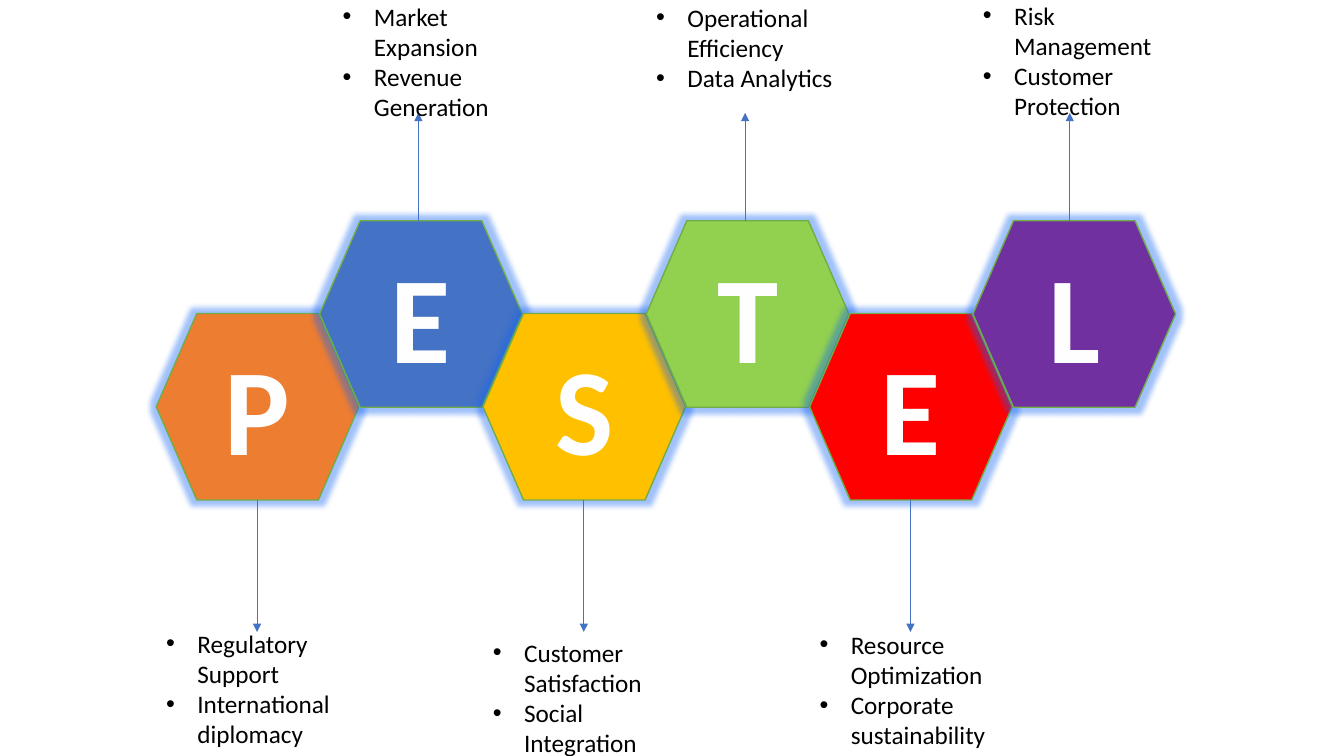
from lxml import etree
from pptx import Presentation
from pptx.dml.color import RGBColor
from pptx.enum.shapes import MSO_CONNECTOR, MSO_SHAPE
from pptx.enum.text import MSO_ANCHOR, MSO_AUTO_SIZE, PP_ALIGN
from pptx.oxml import parse_xml
from pptx.oxml.ns import nsdecls, qn
from pptx.util import Pt

PX = 9144  # EMU per px, 100 px to the inch
HEXAGON = MSO_SHAPE.FLOWCHART_PREPARATION
STRAIGHT = MSO_CONNECTOR.STRAIGHT
MIDDLE = MSO_ANCHOR.MIDDLE
GROW = MSO_AUTO_SIZE.SHAPE_TO_FIT_TEXT
CENTER, LEFT = PP_ALIGN.CENTER, PP_ALIGN.LEFT

BLACK = RGBColor(0x00, 0x00, 0x00)
OFF_WHITE = RGBColor(0xFE, 0xFE, 0xFE)
BLUE = RGBColor(0x44, 0x72, 0xC4)
GREEN = RGBColor(0x70, 0xAD, 0x47)
ORANGE = RGBColor(0xED, 0x7D, 0x31)
GOLD = RGBColor(0xFF, 0xC0, 0x00)
LIME = RGBColor(0x92, 0xD0, 0x50)
RED = RGBColor(0xFF, 0x00, 0x00)
PURPLE = RGBColor(0x70, 0x30, 0xA0)

HEX_LEFT, HEX_STEP, HEX_WIDTH, HEX_HEIGHT = 155, 162, 201, 185
UPPER_TOP, LOWER_TOP = 219, 311
UPPER_TIP, LOWER_TIP = 112, 627
BULLET_INDENT = 31

# letter, fill, arrow offset in hexagon, note left, top and height, note lines
FACTORS = [
    ("P", ORANGE, 100, 155, 618, 131, ["Regulatory Support", "International diplomacy"]),
    ("E", BLUE, 98, 330, -4, 131, ["Market Expansion", "Revenue Generation"]),
    ("S", GOLD, 100, 479, 627, 131, ["Customer Satisfaction", "Social Integration"]),
    ("T", LIME, 98, 641, -3, 101, ["Operational Efficiency", "Data Analytics"]),
    ("E", RED, 100, 803, 619, 131, ["Resource Optimization", "Corporate sustainability"]),
    ("L", PURPLE, 96, 965, -5, 131, ["Risk Management", "Customer Protection"]),
]


def write_text(frame, lines, size, color, bold=False, align=LEFT, bullet=None, outline=None):
    frame.word_wrap = True
    for number, line in enumerate(lines):
        paragraph = frame.add_paragraph() if number else frame.paragraphs[0]
        paragraph.alignment = align
        run = paragraph.add_run()
        run.text = line
        run.font.name = "Calibri"
        run.font.size = Pt(size)
        run.font.bold = bold
        run.font.color.rgb = color
        if bullet:
            props = paragraph._p.get_or_add_pPr()
            props.set("marL", str(BULLET_INDENT * PX))
            props.set("indent", str(-BULLET_INDENT * PX))
            etree.SubElement(props, qn("a:buFont")).set("typeface", "Arial")
            etree.SubElement(props, qn("a:buChar")).set("char", bullet)
        if outline:
            props = run._r.get_or_add_rPr()
            props.set("spc", "50")
            props.insert(0, parse_xml(
                f'<a:ln {nsdecls("a")} w="9525"><a:solidFill>'
                f'<a:srgbClr val="{outline}"/></a:solidFill></a:ln>'))


prs = Presentation()
prs.slide_width, prs.slide_height = 1333 * PX, 750 * PX
slide = prs.slides.add_slide(prs.slide_layouts[6])
shapes = slide.shapes

for index, (letter, fill, *_) in enumerate(FACTORS):
    top = UPPER_TOP if index % 2 else LOWER_TOP
    hexagon = shapes.add_shape(HEXAGON, (HEX_LEFT + index * HEX_STEP) * PX, top * PX,
                               HEX_WIDTH * PX, HEX_HEIGHT * PX)
    hexagon.shadow.inherit = False
    hexagon.fill.solid()
    hexagon.fill.fore_color.rgb = fill
    hexagon.line.color.rgb = GREEN
    hexagon.line.width = Pt(1)
    glow = etree.SubElement(hexagon._element.spPr.find(qn("a:effectLst")), qn("a:glow"), rad="101600")
    glow_color = etree.SubElement(glow, qn("a:srgbClr"), val=str(BLUE))
    etree.SubElement(glow_color, qn("a:satMod"), val="175000")
    etree.SubElement(glow_color, qn("a:alpha"), val="40000")
    hexagon.text_frame.vertical_anchor = MIDDLE
    write_text(hexagon.text_frame, [letter], size=88, color=OFF_WHITE, bold=True,
               align=CENTER, outline=BLUE)

for index, (_, _, offset, note_left, note_top, note_height, lines) in enumerate(FACTORS):
    x = HEX_LEFT + index * HEX_STEP + offset
    start, tip = (UPPER_TOP, UPPER_TIP) if index % 2 else (LOWER_TOP + HEX_HEIGHT, LOWER_TIP)
    arrow = shapes.add_connector(STRAIGHT, x * PX, start * PX, x * PX, tip * PX)
    arrow.line.color.rgb = BLUE
    arrow.line.width = Pt(0.5)
    etree.SubElement(arrow.line._get_or_add_ln(), qn("a:tailEnd"), type="triangle")
    etree.SubElement(arrow._element.spPr, qn("a:effectLst"))

    note = shapes.add_textbox(note_left * PX, note_top * PX, HEX_WIDTH * PX, note_height * PX)
    note.text_frame.auto_size = GROW
    write_text(note.text_frame, lines, size=18, color=BLACK, bullet="•")

prs.save("out.pptx")
